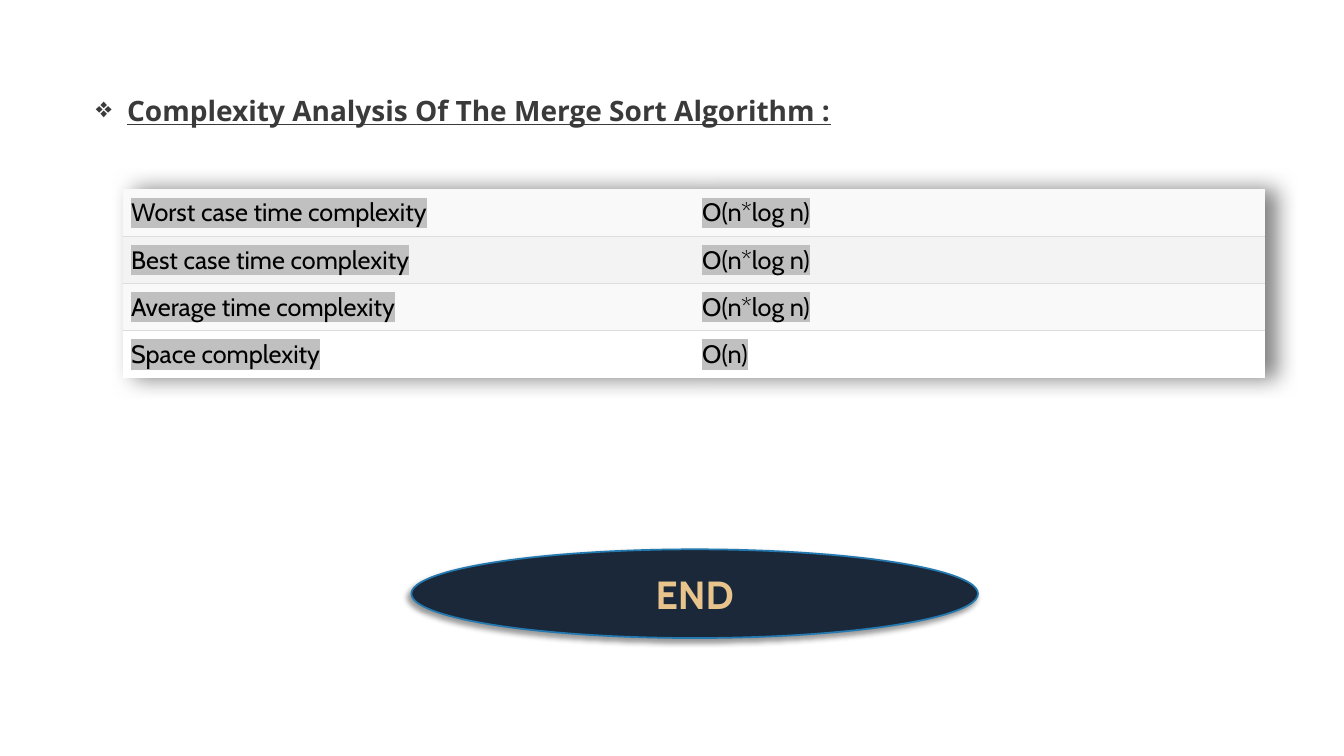
import dataclasses

import lxml.etree
import pptx
import pptx.dml.color
import pptx.enum.shapes
import pptx.enum.text
import pptx.oxml
import pptx.oxml.ns
import pptx.util

Inches = pptx.util.Inches
Pt = pptx.util.Pt
NO_GRID_STYLE = "{2D5ABB26-0587-4C30-8999-92F81FD0307C}"


@dataclasses.dataclass(frozen=True)
class Theme:
    heading_font: str = "Open Sans"
    body_font: str = "Cabin"
    heading_size: int = 20
    body_size: int = 18
    end_size: int = 28
    heading: str = "3A3A3A"
    body: str = "000000"
    highlight: str = "C0C0C0"
    rule: str = "DDDDDD"
    row_fills: tuple = ("F9F9F9", "F3F3F3", "F9F9F9", "FFFFFF")
    end_fill: str = "1A2839"
    end_line: str = "2379B0"
    end_text: str = "E8C48C"


THEME = Theme()
COMPLEXITIES = [
    ("Worst case time complexity", "O(n*log n)"),
    ("Best case time complexity", "O(n*log n)"),
    ("Average time complexity", "O(n*log n)"),
    ("Space complexity", "O(n)"),
]


def rgb(value):
    return pptx.dml.color.RGBColor.from_string(value)


def drawing_xml(tag, content="", **attributes):
    """Return a DrawingML element with the given inner XML."""
    values = "".join(f' {key}="{value}"' for key, value in attributes.items())
    namespace = pptx.oxml.ns.nsdecls("a")
    return pptx.oxml.parse_xml(f"<a:{tag} {namespace}{values}>{content}</a:{tag}>")


def color_xml(value, alpha=100):
    return f'<a:srgbClr val="{value}"><a:alpha val="{alpha * 1000}"/></a:srgbClr>'


def outer_shadow(blur, distance, angle, alpha):
    return drawing_xml(
        "outerShdw", color_xml(THEME.body, alpha), blurRad=Pt(blur), dist=Pt(distance),
        dir=angle * 60000, algn="ctr", rotWithShape=0)


def apply_format(target, values):
    for name, value in values.items():
        setattr(target, name, value)


def write_run(paragraph, text, color, **font_values):
    run = paragraph.add_run()
    run.text = text
    run.font.color.rgb = rgb(color)
    apply_format(run.font, font_values)
    return run


def add_heading(slide, left, top, width, height):
    title = slide.shapes.title
    apply_format(title, {"left": left, "top": top, "width": width, "height": height})
    apply_format(title.text_frame, {
        "word_wrap": False,
        "auto_size": pptx.enum.text.MSO_AUTO_SIZE.NONE,
        "vertical_anchor": pptx.enum.text.MSO_ANCHOR.TOP,
    })
    paragraph = title.text_frame.paragraphs[0]
    apply_format(paragraph, {
        "alignment": pptx.enum.text.PP_ALIGN.LEFT,
        "line_spacing": 1.0, "space_before": Pt(0)})
    properties = paragraph._p.get_or_add_pPr()
    apply_indent = {"marL": Inches(0.31), "indent": Inches(-0.31)}
    for name, value in apply_indent.items():
        properties.set(name, str(value))
    properties.append(drawing_xml("buChar", char="❖"))
    write_run(paragraph, "Complexity Analysis Of The Merge Sort Algorithm :", THEME.heading,
              name=THEME.heading_font, size=Pt(THEME.heading_size), bold=True, underline=True)


def fill_cell(cell, text, fill, ruled):
    inset = Inches(0.08)
    apply_format(cell, {
        "margin_left": inset, "margin_right": inset,
        "margin_top": inset, "margin_bottom": inset})
    cell.fill.solid()
    cell.fill.fore_color.rgb = rgb(fill)
    if ruled:
        rule = f"<a:solidFill>{color_xml(THEME.rule)}</a:solidFill>"
        cell._tc.get_or_add_tcPr().insert(0, drawing_xml("lnB", rule, w=Pt(0.75)))
    run = write_run(cell.text_frame.paragraphs[0], text, THEME.body,
                    name=THEME.body_font, size=Pt(THEME.body_size))
    text_fill = run.font._element.find(pptx.oxml.ns.qn("a:solidFill"))
    text_fill.addnext(drawing_xml("highlight", color_xml(THEME.highlight)))


def add_complexity_table(slide, left, top, width, height):
    rows, columns = len(COMPLEXITIES), len(COMPLEXITIES[0])
    table = slide.shapes.add_table(rows, columns, left, top, width, height).table
    apply_format(table, {"first_row": False, "horz_banding": False})
    properties = table._tbl.tblPr
    properties.find(pptx.oxml.ns.qn("a:tableStyleId")).text = NO_GRID_STYLE
    shadow = drawing_xml("effectLst")
    shadow.append(outer_shadow(blur=15, distance=8, angle=0, alpha=50))
    properties.insert(0, shadow)
    for row, (entries, fill) in enumerate(zip(COMPLEXITIES, THEME.row_fills)):
        for column, text in enumerate(entries):
            fill_cell(table.cell(row, column), text, fill, ruled=row < rows - 1)


def add_end_badge(slide, left, top, width, height):
    badge = slide.shapes.add_shape(
        pptx.enum.shapes.MSO_SHAPE.OVAL, left, top, width, height)
    badge.fill.solid()
    badge.fill.fore_color.rgb = rgb(THEME.end_fill)
    badge.line.color.rgb = rgb(THEME.end_line)
    badge.line.width = Pt(1.25)
    badge.shadow.inherit = False
    effects = badge._element.spPr.find(pptx.oxml.ns.qn("a:effectLst"))
    effects.append(outer_shadow(blur=4, distance=3, angle=135, alpha=40))
    badge.text_frame.vertical_anchor = pptx.enum.text.MSO_ANCHOR.MIDDLE
    paragraph = badge.text_frame.paragraphs[0]
    paragraph.alignment = pptx.enum.text.PP_ALIGN.CENTER
    write_run(paragraph, "END", THEME.end_text,
              name=THEME.body_font, size=Pt(THEME.end_size), bold=True)


def main():
    presentation = pptx.Presentation()
    apply_format(presentation, {"slide_width": Inches(13.33), "slide_height": Inches(7.5)})
    slide = presentation.slides.add_slide(presentation.slide_layouts[5])
    regions = {
        add_heading: (0.85, 0.88, 7.57, 0.77),
        add_complexity_table: (1.22, 1.88, 11.33, 1.87),
        add_end_badge: (4.08, 5.45, 5.62, 0.88),
    }
    for add_region, box in regions.items():
        add_region(slide, *map(Inches, box))
    presentation.save("out.pptx")


if __name__ == "__main__":
    main()
